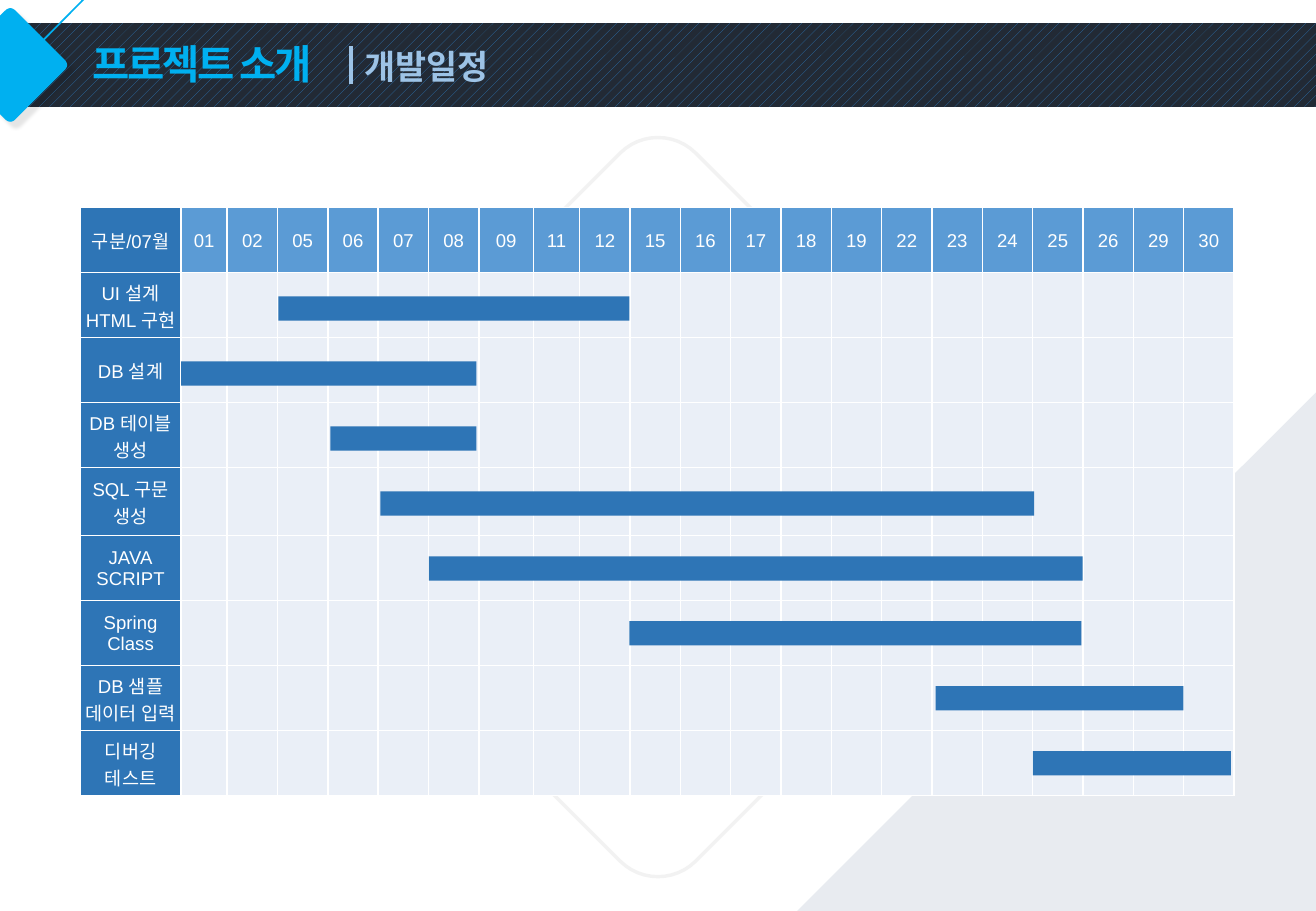
import math

from lxml import etree
from pptx import Presentation
from pptx.dml.color import RGBColor
from pptx.enum.dml import MSO_PATTERN
from pptx.enum.shapes import MSO_CONNECTOR, MSO_SHAPE
from pptx.enum.text import MSO_ANCHOR, PP_ALIGN
from pptx.oxml.ns import qn
from pptx.util import Inches, Pt

RECTANGLE, TRIANGLE = MSO_SHAPE.RECTANGLE, MSO_SHAPE.RIGHT_TRIANGLE
STRAIGHT = MSO_CONNECTOR.STRAIGHT
DOTTED = MSO_PATTERN.PERCENT_20
MIDDLE, TOP = MSO_ANCHOR.MIDDLE, MSO_ANCHOR.TOP
CENTER, LEFT = PP_ALIGN.CENTER, PP_ALIGN.LEFT

FONT = "Arial"
WHITE = RGBColor(0xFF, 0xFF, 0xFF)
BLUE = RGBColor(0x2E, 0x75, 0xB6)
DAY_BLUE = RGBColor(0x5B, 0x9B, 0xD5)
PALE_BLUE = RGBColor(0xEA, 0xEF, 0xF7)
SUBTITLE_BLUE = RGBColor(0x9D, 0xC3, 0xE6)
CYAN = RGBColor(0x00, 0xB0, 0xF0)
NAVY = RGBColor(0x22, 0x2A, 0x35)
OUTLINE_GRAY = RGBColor(0xF2, 0xF2, 0xF2)
CORNER_GRAY = RGBColor(0xE8, 0xEB, 0xF0)

DAYS = ("01 02 05 06 07 08 09 11 12 15 16 17 18 19 22 "
        "23 24 25 26 29 30").split()
TASKS = [
    ("UI 설계\nHTML 구현", 1.63, 2.89),
    ("DB 설계", 0.83, 2.43),
    ("DB 테이블\n생성", 2.06, 1.2),
    ("SQL 구문\n생성", 2.47, 5.38),
    ("JAVA\nSCRIPT", 2.87, 5.38),
    ("Spring Class", 4.52, 3.72),
    ("DB 샘플\n데이터 입력", 7.04, 2.04),
    ("디버깅\n테스트", 7.84, 1.63),
]
LABEL_WIDTH = 0.83
SPECIAL_DAY_WIDTHS = {"01": 0.38, "09": 0.45, "11": 0.38}
TALL_ROW, TALL_ROW_HEIGHT = 4, 0.56


def add_block(slide, kind, left, top, width, height, color):
    """Add a borderless preset shape in one colour."""
    shape = slide.shapes.add_shape(
        kind, Inches(left), Inches(top), Inches(width), Inches(height))
    shape.shadow.inherit = False
    shape.fill.solid()
    shape.fill.fore_color.rgb = color
    shape.line.fill.background()
    return shape


def add_line(slide, start, end, color, width):
    """Add a straight line without shadow."""
    line = slide.shapes.add_connector(
        STRAIGHT, *(Inches(value) for value in start + end))
    line.line.color.rgb = color
    line.line.width = Pt(width)
    etree.SubElement(line._element.spPr, qn("a:effectLst"))


def add_diamond(slide, center_x, center_y, half, depth, side):
    """Add a diamond whose four corners are rounded by Bezier curves."""
    radii = (half - depth, half, half, half - depth)
    offsets = (-side, depth - side, side - depth, side)
    points = []
    for quarter in range(4):
        cosine = math.cos(quarter * math.pi / 2)
        sine = math.sin(quarter * math.pi / 2)
        for step in range(13):
            t = step / 12
            weights = ((1 - t) ** 3, 3 * t * (1 - t) ** 2,
                       3 * t * t * (1 - t), t ** 3)
            radius = sum(w * r for w, r in zip(weights, radii))
            offset = sum(w * o for w, o in zip(weights, offsets))
            points.append((Inches(center_x + radius * cosine - offset * sine),
                           Inches(center_y + radius * sine + offset * cosine)))
    builder = slide.shapes.build_freeform(*points[0])
    builder.add_line_segments(points[1:], close=True)
    shape = builder.convert_to_shape()
    shape.shadow.inherit = False
    return shape


def add_heading(slide, left, top, width, height, text, size, color, anchor):
    """Add a bold heading in its own text box and return its paragraph."""
    box = slide.shapes.add_textbox(
        Inches(left), Inches(top), Inches(width), Inches(height))
    frame = box.text_frame
    frame.word_wrap = True
    frame.vertical_anchor = anchor
    frame.text = text
    paragraph = frame.paragraphs[0]
    paragraph.alignment = LEFT
    paragraph.font.name = FONT
    paragraph.font.size = Pt(size)
    paragraph.font.bold = True
    paragraph.font.color.rgb = color
    return frame, paragraph


def add_header(slide, left, top, width, height):
    """Draw the patterned band, its diamond and the headings."""
    band = add_block(slide, RECTANGLE, left, top, width, height, NAVY)
    band.fill.patterned()
    band.fill.pattern = DOTTED
    band.fill.fore_color.rgb = BLUE
    band.fill.back_color.rgb = NAVY

    diamond = add_diamond(slide, left + 0.085, top + 0.345, 0.475, 0.03, 0.045)
    diamond.fill.solid()
    diamond.fill.fore_color.rgb = CYAN
    diamond.line.fill.background()
    effects = diamond._element.spPr.find(qn("a:effectLst"))
    shadow = etree.SubElement(
        effects, qn("a:outerShdw"), blurRad=str(Pt(2)), dist=str(Pt(5)),
        dir="2700000", algn="tl", rotWithShape="0")
    color = etree.SubElement(shadow, qn("a:srgbClr"), val="000000")
    etree.SubElement(color, qn("a:alpha"), val="10000")

    add_line(slide, (left + 0.08, top + 0.42), (left + 0.85, top - 0.36), CYAN, 1)
    frame, title = add_heading(slide, left + 0.76, top + 0.18, 1.98, 0.36,
                               "프로젝트 소개", 24, CYAN, MIDDLE)
    frame.margin_left = frame.margin_right = 0
    frame.margin_top = frame.margin_bottom = 0
    title.line_spacing = 0.9
    title.runs[0]._r.get_or_add_rPr().set("spc", "-130")
    add_heading(slide, left + 2.9, top + 0.14, 2.02, 0.44,
                "개발일정", 20, SUBTITLE_BLUE, TOP)
    add_line(slide, (left + 2.89, top + 0.19), (left + 2.89, top + 0.5),
             SUBTITLE_BLUE, 2)


def add_background(slide, width, height):
    """Draw the large outlined diamond and the corner triangle."""
    diamond = add_diamond(slide, width / 2, 4.175, 3.085, 0.17, 0.31)
    diamond.fill.background()
    diamond.line.color.rgb = OUTLINE_GRAY
    diamond.line.width = Pt(2)
    size = 4.27
    triangle = add_block(slide, TRIANGLE, width - size, height - size,
                         size, size, CORNER_GRAY)
    triangle.rotation = 270


def fill_cell(cell, text, color):
    """Set the borders, fill and centred text of one cell."""
    properties = cell._tc.get_or_add_tcPr()
    for edge in ("a:lnL", "a:lnR", "a:lnT", "a:lnB"):
        border = etree.SubElement(properties, qn(edge), w=str(Pt(1)))
        fill = etree.SubElement(border, qn("a:solidFill"))
        etree.SubElement(fill, qn("a:srgbClr"), val=str(WHITE))
    cell.fill.solid()
    cell.fill.fore_color.rgb = color
    cell.vertical_anchor = MIDDLE
    cell.margin_left = cell.margin_right = cell.margin_top = Inches(0.01)
    cell.margin_bottom = 0
    cell.text = text
    for paragraph in cell.text_frame.paragraphs:
        paragraph.alignment = CENTER
        paragraph.font.name = FONT
        paragraph.font.size = Pt(11)
        paragraph.font.color.rgb = WHITE


def add_schedule(slide, left, top, width, height):
    """Draw the calendar table and the bar of each task."""
    table = slide.shapes.add_table(
        len(TASKS) + 1, len(DAYS) + 1, Inches(left), Inches(top),
        Inches(width), Inches(height)).table
    table.first_row = table.horz_banding = False
    day_width = ((width - LABEL_WIDTH - sum(SPECIAL_DAY_WIDTHS.values()))
                 / (len(DAYS) - len(SPECIAL_DAY_WIDTHS)))
    widths = [LABEL_WIDTH] + [SPECIAL_DAY_WIDTHS.get(day, day_width) for day in DAYS]
    for column, column_width in zip(table.columns, widths):
        column.width = Inches(column_width)
    row_height = (height - TALL_ROW_HEIGHT) / len(TASKS)
    for index, row in enumerate(table.rows):
        row.height = Inches(TALL_ROW_HEIGHT if index == TALL_ROW else row_height)

    texts = [["구분/07월"] + DAYS]
    texts += [[label] + [""] * len(DAYS) for label, _, _ in TASKS]
    for row, row_texts in enumerate(texts):
        for column, text in enumerate(row_texts):
            color = BLUE if column == 0 else DAY_BLUE if row == 0 else PALE_BLUE
            fill_cell(table.cell(row, column), text, color)
    for index, (_, start, length) in enumerate(TASKS):
        add_block(slide, RECTANGLE, left + start, top + 0.73 + index * row_height,
                  length, 0.2, BLUE)


def main():
    """Build and save the schedule slide."""
    width, height = 10.83, 7.5
    presentation = Presentation()
    presentation.slide_width = Inches(width)
    presentation.slide_height = Inches(height)
    slide = presentation.slides.add_slide(presentation.slide_layouts[6])
    add_background(slide, width, height)
    add_header(slide, 0, 0.19, width, 0.69)
    add_schedule(slide, 0.66, 1.71, 9.5, 4.84)
    presentation.save("out.pptx")


if __name__ == "__main__":
    main()
